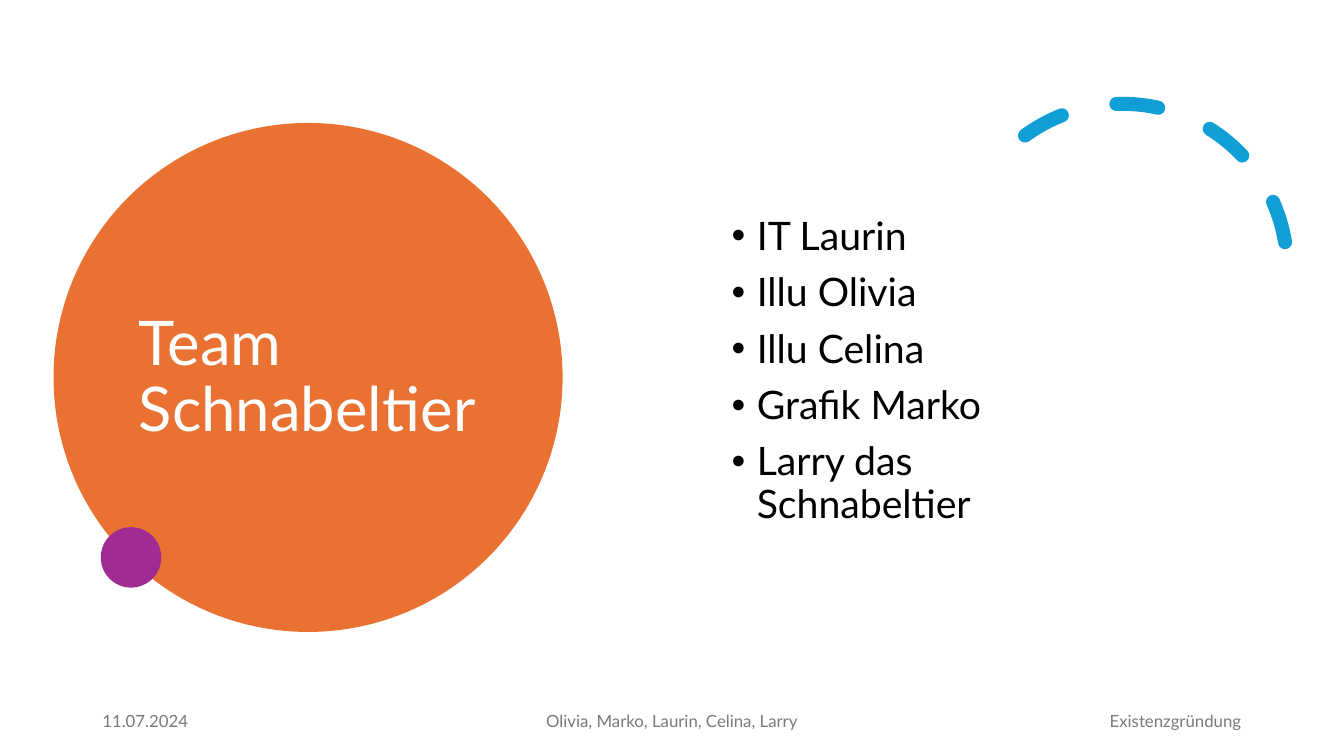
from lxml import etree
from pptx import Presentation
from pptx.dml.color import RGBColor
from pptx.enum.dml import MSO_LINE
from pptx.enum.shapes import MSO_SHAPE
from pptx.enum.text import MSO_ANCHOR, PP_ALIGN
from pptx.oxml.ns import qn
from pptx.util import Inches, Pt

OVAL, ARC, DASH = MSO_SHAPE.OVAL, MSO_SHAPE.ARC, MSO_LINE.DASH
TOP, MID = MSO_ANCHOR.TOP, MSO_ANCHOR.MIDDLE
LEFT, CENTER, RIGHT = PP_ALIGN.LEFT, PP_ALIGN.CENTER, PP_ALIGN.RIGHT
ORANGE = RGBColor(0xE9, 0x71, 0x32)
PURPLE = RGBColor(0xA0, 0x2B, 0x93)
BLUE = RGBColor(0x0F, 0x9E, 0xD5)
WHITE = RGBColor(0xFF, 0xFF, 0xFF)
BLACK = RGBColor(0, 0, 0)
GRAY = RGBColor(0x79, 0x79, 0x79)

deck = Presentation()
deck.slide_width, deck.slide_height = Inches(13.33), Inches(7.5)
slide = deck.slides.add_slide(deck.slide_layouts[6])


def place(left, top, width, height):
    """Turn percentages of the slide into lengths."""
    col, row = deck.slide_width / 100, deck.slide_height / 100
    return [int(n) for n in (left * col, top * row, width * col, height * row)]


def write(spot, lines, size, color, anchor=MID, align=LEFT, pitch=1.0):
    frame = slide.shapes.add_textbox(*place(*spot)).text_frame
    frame.word_wrap = True
    frame.vertical_anchor = anchor
    for i, line in enumerate(lines):
        para = frame.add_paragraph() if i else frame.paragraphs[0]
        para.alignment, para.line_spacing = align, pitch
        run = para.add_run()
        run.text = line
        run.font.name, run.font.size = "Lato", Pt(size)
        run.font.color.rgb = color
    return frame


# Large disc with the small dot on its rim
for spot, color in (((3.98, 16.27, 37.88, 67.33), ORANGE),
                    ((7.5, 69.73, 4.5, 8), PURPLE)):
    disc = slide.shapes.add_shape(OVAL, *place(*spot))
    disc.shadow.inherit = False
    disc.fill.solid()
    disc.fill.fore_color.rgb = color
    disc.line.fill.background()

# Dashed arc with round ends
arc = slide.shapes.add_shape(ARC, *place(71.25, 13.73, 24.53, 43.6))
arc.shadow.inherit = False
arc.rotation = 330.2
arc.adjustments[0], arc.adjustments[1] = 158.17, 17.81
arc.fill.background()
arc.line.color.rgb = BLUE
arc.line.width = Pt(10)
arc.line.dash_style = DASH
arc.line._get_or_add_ln().set("cap", "rnd")

# Title
write((9.6, 20.4, 26.55, 59.33), ["Team Schnabeltier"], 44, WHITE, pitch=0.9)

# Team list
team = ["IT Laurin", "Illu Olivia", "Illu Celina", "Grafik Marko",
        "Larry das Schnabeltier"]
body = write((53.7, 28, 24.98, 44), team, 28, BLACK, TOP, pitch=0.9)
for i, para in enumerate(body.paragraphs):
    para.space_before = Pt(10 if i else 0)
    props = para._p.get_or_add_pPr()
    props.set("marL", str(Inches(0.25)))
    props.set("indent", str(Inches(-0.25)))
    etree.SubElement(props, qn("a:buFont")).set("typeface", "Arial")
    etree.SubElement(props, qn("a:buChar")).set("char", "•")

# Footer
for left, width, text, align in (
        (6.88, 22.5, "11.07.2024", LEFT),
        (33.13, 33.75, "Olivia, Marko, Laurin, Celina, Larry", CENTER),
        (74.2, 18.9, "Existenzgründung", RIGHT)):
    write((left, 92.67, width, 5.33), [text], 12, GRAY, align=align)

deck.save("out.pptx")
